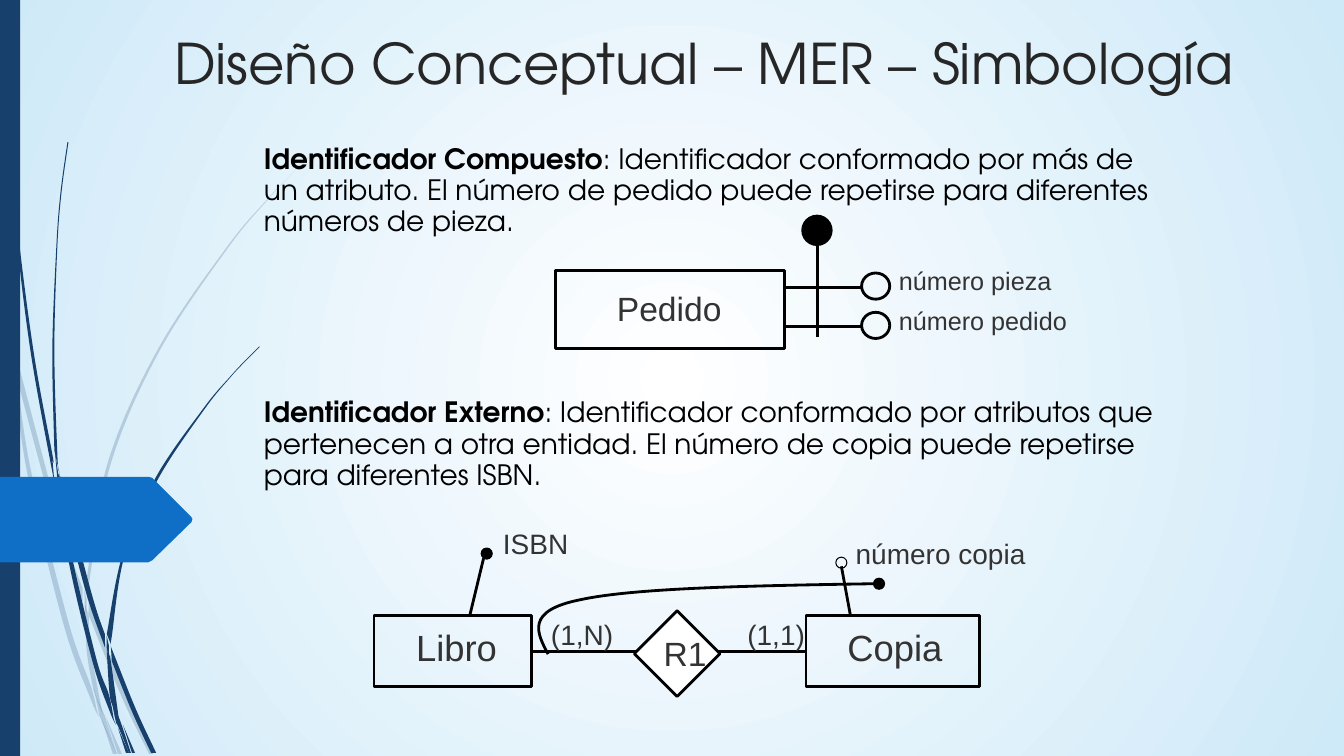
from pptx import Presentation, util as u
from pptx.dml.color import RGBColor
from pptx.enum import shapes, text
from pptx.oxml import parse_xml
from pptx.oxml.ns import nsdecls
from lxml import etree

theme = {
    "navy": "17406D", "blue": "0F6FC6", "black": "000000", "white": "FFFFFF",
    "sky": "CEE9F8", "gray": "333333", "dark": "262626",
    "sans": "Arial", "head": "TeX Gyre Adventor",
    "title": 40, "box": 26, "mid": 24, "body": 20, "small": 18,
    "thick": 2, "thin": 0.75,
}
UNIT = u.Cm(0.0254)  # grid unit of the freeform points
FINE = 10            # local steps in one grid unit


def dress(part, fill=None, line=None, wide="thick"):
    """Set fill and outline by theme name; None means none."""
    part.shadow.inherit = False
    for paint, name in ((part.fill, fill), (part.line.fill, line)):
        if name:
            paint.solid()
            paint.fore_color.rgb = RGBColor.from_string(theme[name])
        else:
            paint.background()
    if line:
        part.line.width = u.Pt(theme[wide])
    return part


def bend(parts, points, close):
    """Freeform of cubic curves: a start, then three points for each curve."""
    first, *rest = [(x * FINE, y * FINE) for x, y in points]
    pen = parts.build_freeform(*first, scale=UNIT / FINE)
    pen.add_line_segments(rest, close=close)
    shape = pen.convert_to_shape()
    steps = list(shape._element.spPr.iter("{*}lnTo"))
    for n, step in enumerate(steps):
        if n % 3 == 0:
            curve = etree.Element(step.tag.replace("lnTo", "cubicBezTo"))
            step.addprevious(curve)
        curve.append(step[0])
        step.getparent().remove(step)
    return shape


deck = Presentation()
deck.slide_width, deck.slide_height = u.Cm(33.88), u.Cm(19.05)
slide = deck.slides.add_slide(deck.slide_layouts[6])
parts = slide.shapes

# Background: white centre fading to sky blue
slide._element.cSld.insert(0, parse_xml(
    f'<p:bg {nsdecls("p", "a")}><p:bgPr><a:gradFill rotWithShape="1"><a:gsLst>'
    f'<a:gs pos="0"><a:srgbClr val="{theme["white"]}"/></a:gs>'
    f'<a:gs pos="100000"><a:srgbClr val="{theme["sky"]}"/></a:gs></a:gsLst>'
    '<a:path path="circle"><a:fillToRect l="50000" t="50000" r="50000" b="50000"/>'
    '</a:path></a:gradFill><a:effectLst/></p:bgPr></p:bg>'))

# Grass blades: each has two edges, there and back
faint = [
    ([(8, 347), (6, 320), (0, 282)], [(0, 299), (8, 342)]),
    ([(14, 345), (60, 518), (82, 584)], [(82, 597), (56, 520), (17, 376)]),
    ([(88, 596), (92, 607), (126, 690), (152, 748)], [(148, 748), (121, 692), (88, 610)]),
    ([(105, 711), (121, 748)], [(117, 748)]),
    ([(11, 350), (27, 469), (63, 619), (89, 691), (98, 711)],
     [(96, 704), (90, 680), (68, 617), (31, 468), (17, 376)]),
    ([(84, 599), (86, 645), (92, 681), (95, 690), (102, 709)],
     [(101, 704), (90, 644), (88, 610), (87, 608)]),
    ([(309, 153), (287, 175), (266, 198), (227, 245), (159, 347), (110, 460),
      (88, 581), (88, 593)],
     [(85, 584), (85, 581), (107, 459), (157, 346), (226, 244), (266, 197),
      (287, 175), (309, 153)]),
    ([(101, 714), (112, 748)], [(116, 748)]),
    ([(84, 586), (84, 598), (85, 606), (86, 608)], [(86, 595)]),
    ([(93, 683), (98, 706), (100, 713), (116, 748)], [(104, 710), (96, 692)]),
]
strong = [
    ([(3, 0), (3, 48), (6, 109), (16, 232), (31, 353), (53, 474), (54, 479)],
     [(52, 455), (52, 451), (34, 353), (18, 231), (7, 109), (4, 48), (3, 0)]),
    ([(60, 472), (91, 589), (104, 629)], [(104, 642), (86, 590), (64, 505)]),
    ([(110, 641), (113, 649), (135, 704), (155, 747)], [(150, 747), (131, 706), (111, 656)]),
    ([(57, 477), (68, 556), (92, 657), (109, 706), (115, 719)],
     [(113, 714), (108, 689), (96, 655), (72, 555), (64, 505)]),
    ([(68, 141), (61, 192), (57, 244), (54, 347), (57, 451), (59, 469)],
     [(54, 447), (52, 347), (56, 244), (60, 192), (67, 141)]),
    ([(122, 719), (134, 747)], [(131, 747)]),
    ([(55, 449), (58, 471), (59, 471), (61, 502)], [(57, 476), (55, 453)]),
    ([(258, 344), (243, 359), (229, 374), (203, 406), (157, 475), (124, 550),
      (111, 631), (110, 639)],
     [(106, 629), (122, 549), (155, 473), (202, 405), (229, 373), (243, 358), (257, 344)]),
    ([(117, 722), (128, 747)], [(125, 747)]),
    ([(106, 645), (109, 690), (114, 704), (119, 716)], [(118, 713), (110, 656), (108, 651)]),
    ([(106, 631), (106, 643), (107, 648), (108, 653)], [(108, 640)]),
    ([(110, 691), (115, 716), (117, 720), (128, 747)], [(130, 747), (120, 717), (115, 705)]),
]
for blades, alpha in ((faint, 20000), (strong, None)):
    for there, back in blades:
        points = [there[0]]
        for edge in (there, back, [there[0]]):
            # Straight corner between edges, smooth curves along each one
            for knots in ([points[-1], edge[0]], edge):
                ends = [knots[0], *knots, knots[-1]]
                for a, b, c, d in zip(ends, ends[1:], ends[2:], ends[3:]):
                    if b != c:
                        points += [(b[0] + (c[0] - a[0]) / 6, b[1] + (c[1] - a[1]) / 6),
                                   (c[0] - (d[0] - b[0]) / 6, c[1] - (d[1] - b[1]) / 6), c]
        blade = dress(bend(parts, points, True), "navy")
        if alpha:
            tint = next(blade._element.spPr.iter("{*}srgbClr"))
            etree.SubElement(tint, tint.tag.replace("srgbClr", "alpha"), val=str(alpha))

# Side bar and page tag
kind = shapes.MSO_SHAPE
dress(parts.add_shape(kind.RECTANGLE, 0, 0, u.Cm(0.51), u.Cm(19.05)), "navy")
pen = parts.build_freeform(0, 473, scale=UNIT)
pen.add_line_segments([(147, 473), (151, 474), (190, 513), (191, 515), (190, 518),
                       (151, 556), (147, 558), (0, 558)])
dress(pen.convert_to_shape(), "blue")

# Entities
nodes = {}
for name, *box in (("Pedido", 14, 6.81, 5.77, 1.98), ("Libro", 9.43, 15.52, 3.96, 1.78),
                   ("Copia", 20.32, 15.52, 4.37, 1.78)):
    nodes[name] = dress(parts.add_shape(kind.RECTANGLE, *map(u.Cm, box)), None, "black")

# Straight lines: relation first, then attribute stems
for stem in (
    (13.39, 16.41, 20.32, 16.41), (11.84, 15.52, 12.19, 14.07),
    (21.44, 15.52, 21.21, 14.27), (21.72, 7.24, 19.79, 7.24),
    (21.72, 8.23, 19.79, 8.23), (20.6, 8.48, 20.6, 6.2),
):
    link = parts.add_connector(shapes.MSO_CONNECTOR.STRAIGHT, *map(u.Cm, stem))
    if stem[0] == 13.39:
        link.begin_connect(nodes["Libro"], 3)
        link.end_connect(nodes["Copia"], 1)
    link.line.color.rgb = RGBColor.from_string(theme["black"])
    link.line.width = u.Pt(theme["thick"])
    link._element.spPr.append(parse_xml(f'<a:effectLst {nsdecls("a")}/>'))

# Relation diamond and attribute dots
for form, x, y, w, h, fill, line, wide in (
    (kind.DIAMOND, 15.99, 15.39, 2.16, 2.16, "white", "black", "thick"),
    (kind.OVAL, 12.13, 13.81, 0.28, 0.28, "black", "black", "thin"),
    (kind.OVAL, 22.02, 14.57, 0.28, 0.28, "black", "black", "thin"),
    (kind.OVAL, 21.07, 14.04, 0.28, 0.28, None, "black", "thin"),
    (kind.OVAL, 21.72, 6.88, 0.71, 0.66, None, "black", "thick"),
    (kind.OVAL, 21.72, 7.87, 0.71, 0.66, None, "black", "thick"),
    (kind.OVAL, 20.2, 5.41, 0.79, 0.79, "black", None, "thick"),
):
    dress(parts.add_shape(form, *map(u.Cm, (x, y, w, h))), fill, line, wide)

# External identifier curve
dress(bend(parts, [(544, 649), (533, 628), (521, 606), (576, 595),
                   (631, 583), (752, 581), (874, 579)], False), None, "black")

# Texts: box, size, font, colour, bold lead, plain rest
for box, size, font, ink, lead, rest in (
    ((4.39, 0, 29.49, 3.26), "title", "head", "dark", "",
     "Diseño Conceptual – MER – Simbología"),
    ((6.4, 3.51, 23.39, 1.88), "body", "head", "black", "Identificador Compuesto",
     ": Identificador conformado por más de un atributo. "
     "El número de pedido puede repetirse para diferentes números de pieza."),
    ((6.4, 9.9, 23.39, 1.88), "body", "head", "black", "Identificador Externo",
     ": Identificador conformado por atributos que pertenecen a otra entidad. "
     "El número de copia puede repetirse para diferentes ISBN."),
    ((14.71, 7.21, 4.32, 1.27), "mid", "sans", "gray", "", "Pedido"),
    ((10.24, 15.72, 3.38, 1.35), "box", "sans", "gray", "", "Libro"),
    ((21.11, 15.72, 3.71, 1.35), "box", "sans", "gray", "", "Copia"),
    ((16.48, 15.92, 1.93, 1.27), "mid", "sans", "gray", "", "R1"),
    ((13.64, 15.52, 2.36, 1.09), "body", "sans", "gray", "", "(1,N)"),
    ((18.59, 15.52, 2.36, 1.09), "body", "sans", "gray", "", "(1,1)"),
    ((12.43, 13.21, 2.97, 1.09), "body", "sans", "gray", "", "ISBN"),
    ((21.32, 13.46, 5.46, 1.09), "body", "sans", "gray", "", "número copia"),
    ((22.41, 6.63, 4.98, 1.02), "small", "sans", "gray", "", "número pieza"),
    ((22.41, 7.64, 4.98, 1.02), "small", "sans", "gray", "", "número pedido"),
):
    frame = parts.add_textbox(*map(u.Cm, box)).text_frame
    para = frame.paragraphs[0]
    look = {"word_wrap": True}
    if size == "title":
        look |= {"vertical_anchor": text.MSO_ANCHOR.MIDDLE, "margin_left": 0,
                 "margin_right": 0, "margin_top": 0, "margin_bottom": 0}
    for key, value in look.items():
        setattr(frame, key, value)
    para.line_spacing = 0.98 if size == "title" else 0.93
    if rest == "Pedido":
        para.alignment = text.PP_ALIGN.CENTER
    for words, bold in ((lead, True), (rest, False)):
        if words:
            run = para.add_run()
            run.text = words
            look = {"size": u.Pt(theme[size]), "name": theme[font], "bold": bold}
            for key, value in look.items():
                setattr(run.font, key, value)
            run.font.color.rgb = RGBColor.from_string(theme[ink])

deck.save("out.pptx")
